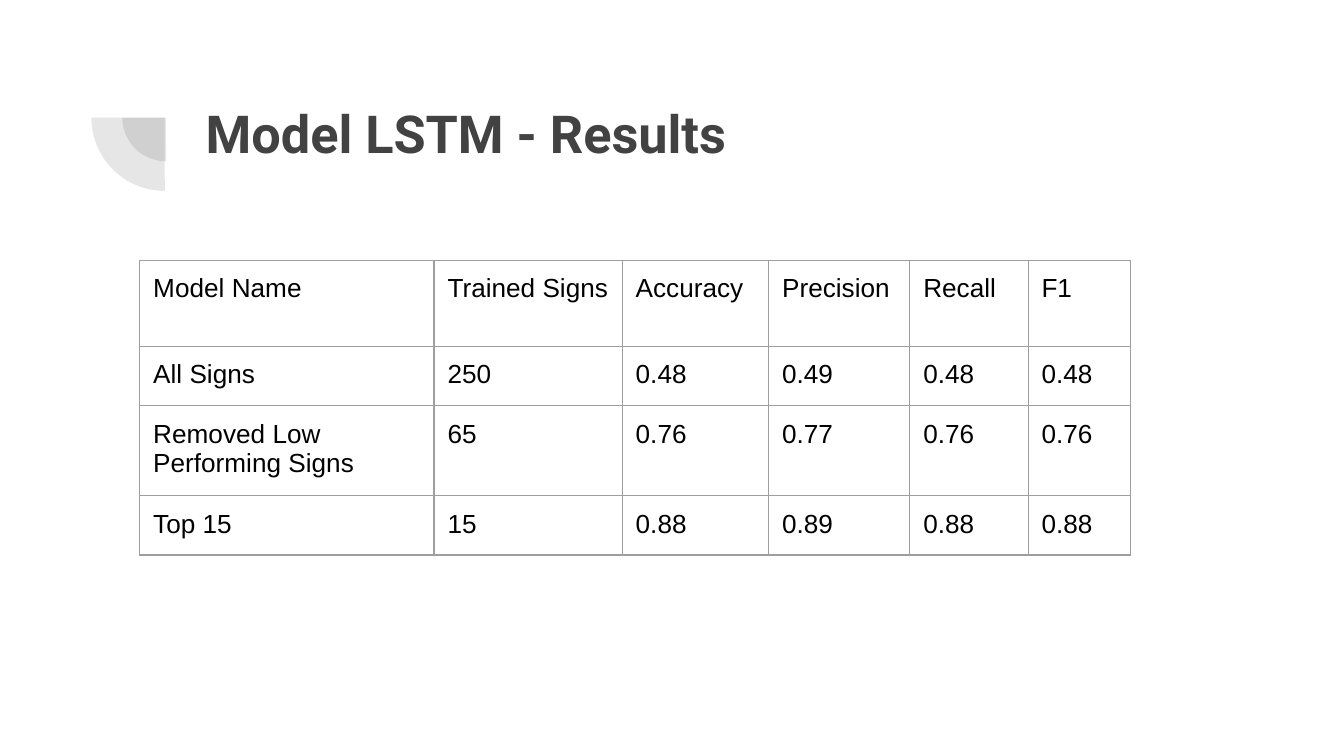
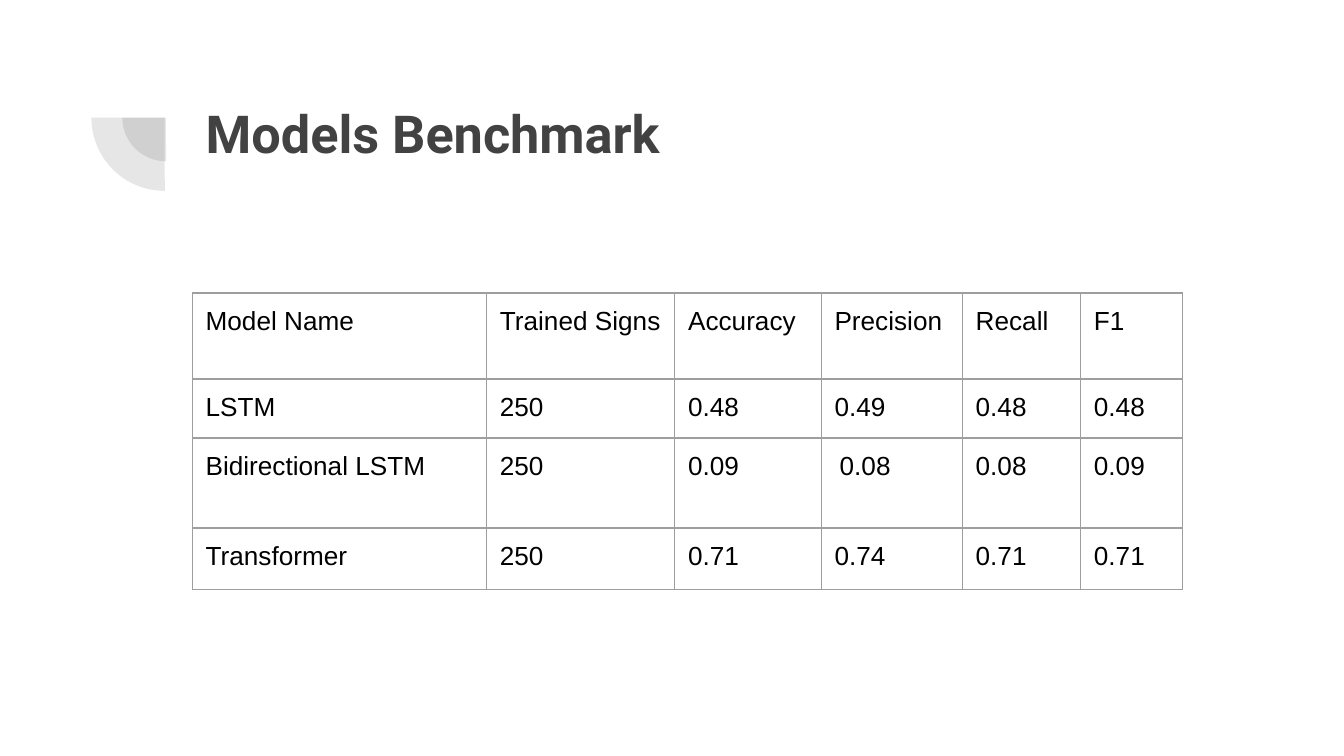
from pptx import Presentation
from pptx.dml.color import RGBColor
from pptx.enum.shapes import MSO_SHAPE
from pptx.enum.text import MSO_ANCHOR, MSO_AUTO_SIZE, PP_ALIGN
from pptx.oxml import parse_xml
from pptx.oxml.ns import nsdecls, qn
from pptx.util import Inches, Pt
from lxml.etree import SubElement

DARK_GRAY = RGBColor(0x42, 0x42, 0x42)
BORDER_GRAY = RGBColor(0x9E, 0x9E, 0x9E)
BLACK = RGBColor(0, 0, 0)

HEADER = ("Model Name", "Trained Signs", "Accuracy", "Precision", "Recall", "F1")
COLUMN_WIDTHS = (2.19, 1.4, 1.09, 1.05, 0.88, 0.76)
SLIDES = [
    {
        "title": "Model LSTM - Results",
        "table_position": (1.04, 1.94),
        "row_heights": (0.64, 0.44, 0.67, 0.44),
        "rows": [
            ("All Signs", "250", "0.48", "0.49", "0.48", "0.48"),
            ("Removed Low Performing Signs", "65", "0.76", "0.77", "0.76", "0.76"),
            ("Top 15", "15", "0.88", "0.89", "0.88", "0.88"),
        ],
    },
    {
        "title": "Models Benchmark",
        "table_position": (1.43, 2.18),
        "row_heights": (0.64, 0.44, 0.67, 0.46),
        "rows": [
            ("LSTM", "250", "0.48", "0.49", "0.48", "0.48"),
            ("Bidirectional LSTM", "250", "0.09", " 0.08", "0.08", "0.09"),
            ("Transformer", "250", "0.71", "0.74", "0.71", "0.71"),
        ],
    },
]

QUARTER_CIRCLES = [(0.91, 0.55, 0.65), (0.68, 0.33, 1.09)]  # left, top, diameter
PIE_OPACITY = 13
INSET = Inches(0.1)


def set_insets(target):
    target.margin_left = target.margin_right = INSET
    target.margin_top = target.margin_bottom = INSET


def format_font(font, name, size, color, bold=False):
    font.name, font.size, font.bold = name, Pt(size), bold
    font.color.rgb = color


def add_quarter_circles(slide):
    """Add the two translucent quarter circles that share one corner."""
    for left, top, diameter in QUARTER_CIRCLES:
        shape = slide.shapes.add_shape(
            MSO_SHAPE.PIE, Inches(left), Inches(top),
            Inches(diameter), Inches(diameter))
        shape.adjustments[0] = 107.93
        shape.adjustments[1] = 162
        shape.rotation = 270
        shape.shadow.inherit = False
        shape.line.fill.background()
        shape.fill.solid()
        shape.fill.fore_color.rgb = DARK_GRAY
        color = shape.fill._xPr.find(".//" + qn("a:srgbClr"))
        SubElement(color, qn("a:alpha"), val=str(PIE_OPACITY * 1000))


def format_title(title, text):
    title.left, title.top = Inches(1.43), Inches(0.65)
    title.width, title.height = Inches(7.69), Inches(1.09)
    frame = title.text_frame
    frame.text = text
    frame.auto_size = MSO_AUTO_SIZE.NONE
    frame.vertical_anchor = MSO_ANCHOR.TOP
    set_insets(frame)
    paragraph = frame.paragraphs[0]
    paragraph.alignment = PP_ALIGN.LEFT
    format_font(paragraph.font, "Roboto", 28, DARK_GRAY, bold=True)


def add_borders(cell):
    properties = cell._tc.get_or_add_tcPr()
    for index, side in enumerate("LRTB"):
        properties.insert(index, parse_xml(
            f'<a:ln{side} {nsdecls("a")} w="{Pt(0.75)}"><a:solidFill>'
            f'<a:srgbClr val="{BORDER_GRAY}"/></a:solidFill></a:ln{side}>'))


def fill_cell(cell, text):
    """Write and format a cell; a leading space is a small serif run."""
    cell.vertical_anchor = MSO_ANCHOR.TOP
    cell.fill.background()
    set_insets(cell)
    add_borders(cell)
    paragraph = cell.text_frame.paragraphs[0]
    paragraph.alignment = PP_ALIGN.LEFT
    format_font(paragraph.font, "Arial", 14, BLACK)
    if text.startswith(" "):
        space = paragraph.add_run()
        space.text = " "
        format_font(space.font, "Times New Roman", 11, BLACK, bold=True)
    paragraph.add_run().text = text.lstrip()


def add_results_table(slide, position, row_heights, rows):
    left, top = position
    records = [HEADER, *rows]
    table = slide.shapes.add_table(
        len(records), len(HEADER), Inches(left), Inches(top),
        Inches(sum(COLUMN_WIDTHS)), Inches(sum(row_heights))).table
    table.first_row = table.horz_banding = False
    for column, width in zip(table.columns, COLUMN_WIDTHS):
        column.width = Inches(width)
    for row, height, record in zip(table.rows, row_heights, records):
        row.height = Inches(height)
        for cell, text in zip(row.cells, record):
            fill_cell(cell, text)


def main():
    presentation = Presentation()
    presentation.slide_width = Inches(10)
    presentation.slide_height = Inches(10) * 9 // 16
    title_only = presentation.slide_layouts[5]
    for content in SLIDES:
        slide = presentation.slides.add_slide(title_only)
        add_quarter_circles(slide)
        format_title(slide.shapes.title, content["title"])
        add_results_table(slide, content["table_position"],
                          content["row_heights"], content["rows"])
    presentation.save("out.pptx")


if __name__ == "__main__":
    main()
